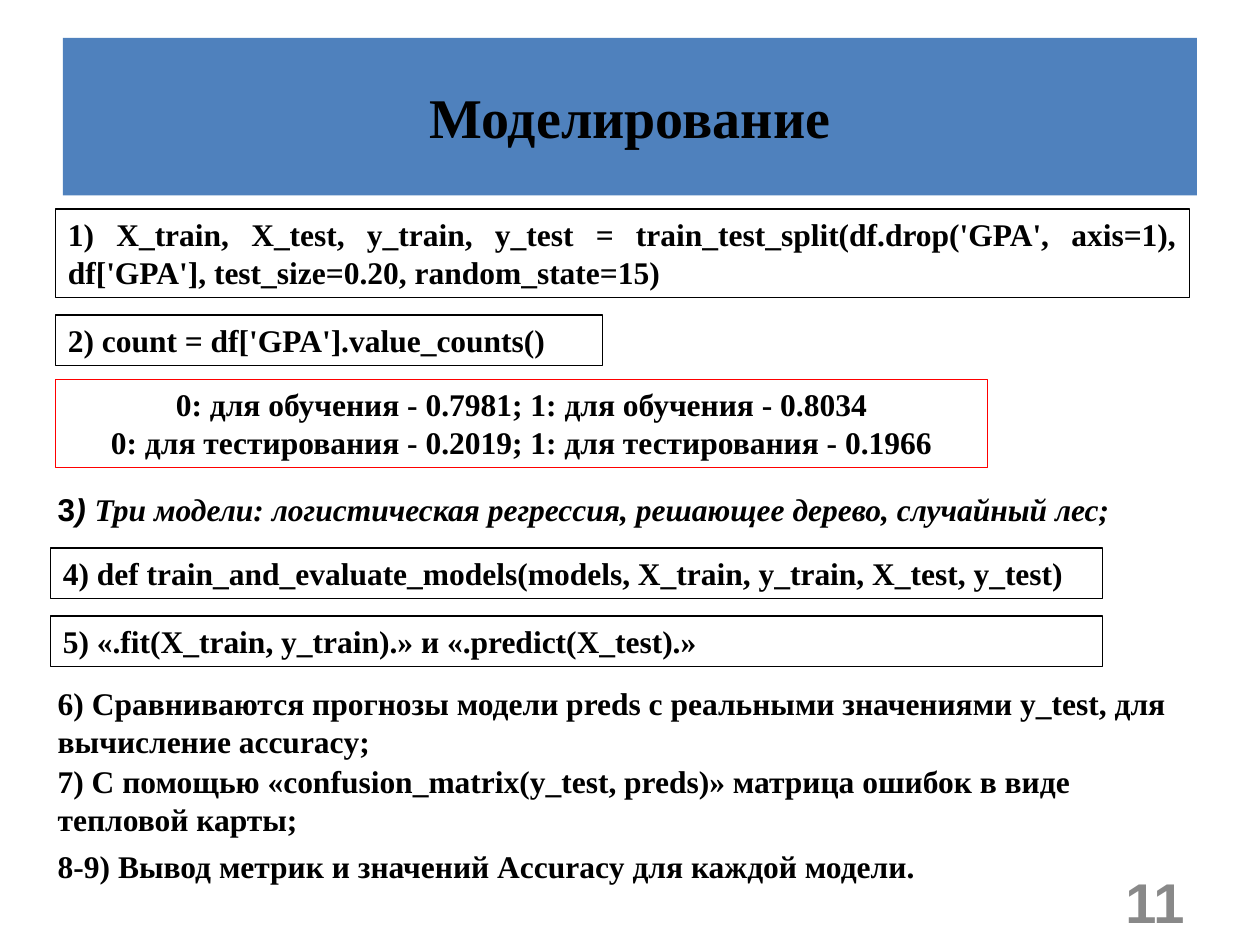
from dataclasses import dataclass
from typing import NamedTuple, Optional

from pptx import Presentation
from pptx.dml.color import RGBColor
from pptx.enum.shapes import MSO_SHAPE
from pptx.enum.text import MSO_ANCHOR, MSO_AUTO_SIZE, PP_ALIGN
from pptx.util import Emu, Pt

EMU_PER_PX = 9144  # 100 px to the inch


@dataclass(frozen=True)
class Theme:
    ink: str = "000000"
    banner: str = "4F81BD"
    paper: str = "FFFFFF"
    result: str = "FF0000"
    page: str = "898989"
    serif: str = "Times New Roman"
    sans: str = "Arial"
    body_size: int = 18
    heading_size: int = 32
    border: float = 0.75


THEME = Theme()


class Span(NamedTuple):
    text: str
    font: str = THEME.serif
    italic: bool = False


@dataclass(frozen=True)
class Block:
    left: int
    top: int
    width: int
    height: int
    lines: list[list[Span]]
    fill: Optional[str] = None
    line: Optional[str] = None
    align: PP_ALIGN = PP_ALIGN.LEFT
    anchor: MSO_ANCHOR = MSO_ANCHOR.TOP
    size: int = THEME.body_size
    color: str = THEME.ink
    grow: bool = True


def px(length: int) -> Emu:
    return Emu(length * EMU_PER_PX)


def plain(*texts: str) -> list[list[Span]]:
    """One single-span line for each text."""
    return [[Span(text)] for text in texts]


def draw_block(slide, block: Block) -> None:
    bounds = [px(n) for n in (block.left, block.top, block.width, block.height)]
    if block.fill or block.line:
        box = slide.shapes.add_shape(MSO_SHAPE.RECTANGLE, *bounds)
        box.shadow.inherit = False
    else:
        box = slide.shapes.add_textbox(*bounds)

    # Fill and border
    if block.fill:
        box.fill.solid()
        box.fill.fore_color.rgb = RGBColor.from_string(block.fill)
    else:
        box.fill.background()
    if block.line:
        box.line.color.rgb = RGBColor.from_string(block.line)
        box.line.width = Pt(THEME.border)
    else:
        box.line.fill.background()

    # Text
    frame = box.text_frame
    frame.word_wrap = True
    frame.vertical_anchor = block.anchor
    frame.auto_size = MSO_AUTO_SIZE.SHAPE_TO_FIT_TEXT if block.grow else MSO_AUTO_SIZE.NONE
    for index, spans in enumerate(block.lines):
        paragraph = frame.add_paragraph() if index else frame.paragraphs[0]
        paragraph.alignment = block.align
        for span in spans:
            run = paragraph.add_run()
            run.text = span.text
            run.font.name = span.font
            run.font.size = Pt(block.size)
            run.font.bold = True
            run.font.italic = span.italic
            run.font.color.rgb = RGBColor.from_string(block.color)


HEADING = Block(50, 30, 900, 125, plain("Моделирование"), fill=THEME.banner,
                align=PP_ALIGN.CENTER, anchor=MSO_ANCHOR.MIDDLE,
                size=THEME.heading_size, grow=False)

PAGE_NUMBER = Block(717, 695, 233, 40, [[Span("11", THEME.sans)]],
                    align=PP_ALIGN.RIGHT, anchor=MSO_ANCHOR.MIDDLE,
                    size=THEME.heading_size, color=THEME.page, grow=False)

STEPS = [
    # Data split and its class shares
    Block(44, 166, 900, 70,
          plain("1) X_train, X_test, y_train, y_test = train_test_split("
                "df.drop('GPA', axis=1), df['GPA'], test_size=0.20, random_state=15)"),
          line=THEME.ink, align=PP_ALIGN.JUSTIFY),
    Block(44, 250, 434, 40, plain("2) count = df['GPA'].value_counts()"), line=THEME.ink),
    Block(44, 301, 740, 70,
          plain("0: для обучения - 0.7981; 1: для обучения - 0.8034",
                "0: для тестирования - 0.2019; 1: для тестирования - 0.1966"),
          fill=THEME.paper, line=THEME.result, align=PP_ALIGN.CENTER),
    # Models and training
    Block(36, 384, 861, 40,
          [[Span("3", THEME.sans), Span(") ", THEME.sans, True),
            Span("Три модели: логистическая регрессия, решающее дерево, случайный лес;",
                 italic=True)]]),
    Block(40, 435, 835, 40,
          plain("4) def train_and_evaluate_models(models, X_train, y_train, X_test, y_test)"),
          line=THEME.ink),
    Block(40, 489, 835, 40,
          plain("5) «.fit(X_train, y_train).» и «.predict(X_test).»"), line=THEME.ink),
    # Evaluation
    Block(36, 538, 912, 100,
          plain("6) Сравниваются прогнозы модели preds с реальными значениями y_test, "
                "для вычисление accuracy;")),
    Block(36, 600, 906, 70,
          plain("7) С помощью «confusion_matrix(y_test, preds)» матрица ошибок "
                "в виде тепловой карты;")),
    Block(36, 667, 795, 40,
          plain("8-9) Вывод метрик и значений Accuracy для каждой модели.")),
]


def main() -> None:
    deck = Presentation()
    deck.slide_width, deck.slide_height = px(1000), px(750)
    slide = deck.slides.add_slide(deck.slide_layouts[6])
    for block in (HEADING, PAGE_NUMBER, *STEPS):
        draw_block(slide, block)
    deck.save("out.pptx")


if __name__ == "__main__":
    main()
